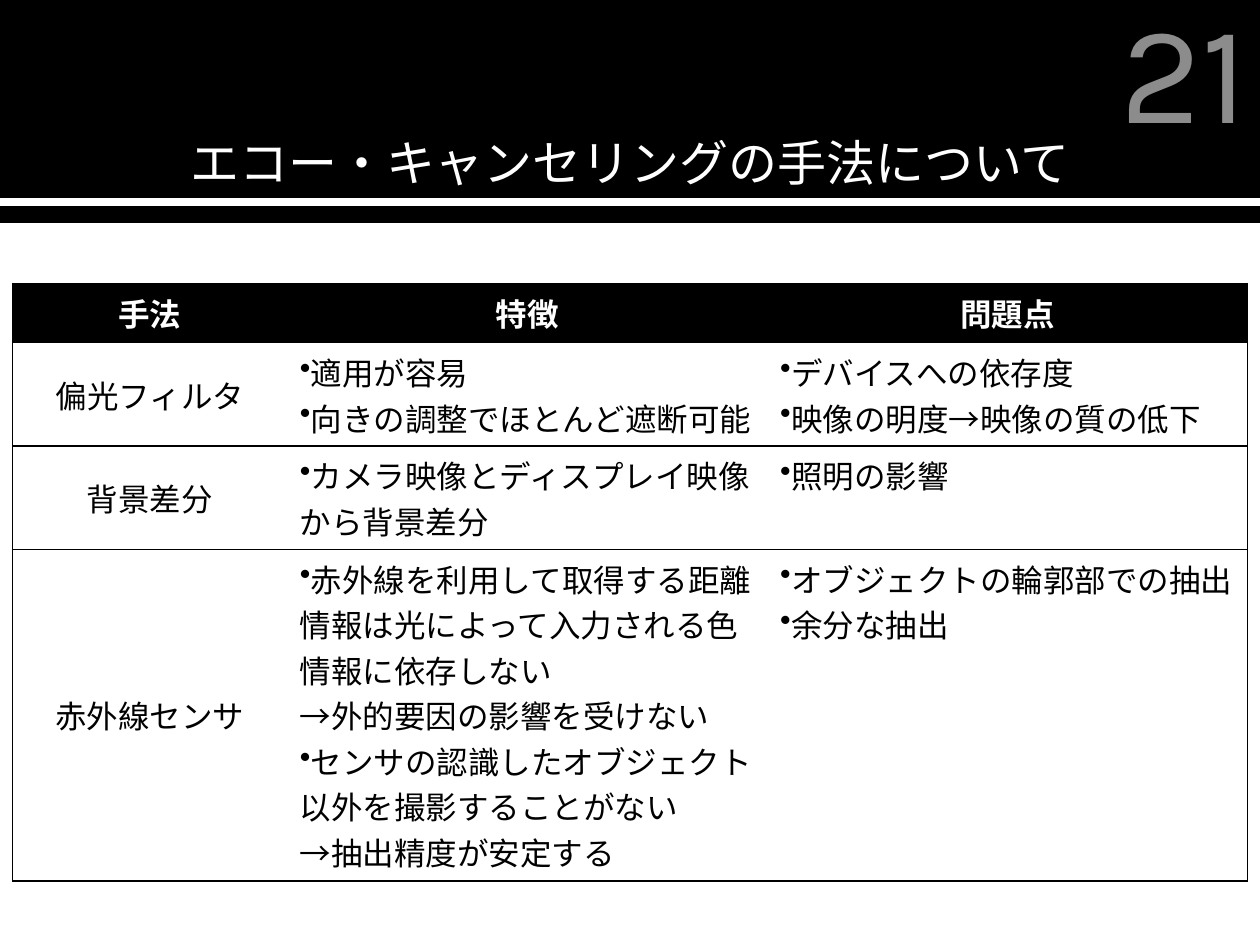
from pptx import Presentation
from pptx.dml.color import RGBColor
from pptx.enum import shapes, text
from pptx.oxml import ns, xmlchemy
from pptx.util import Cm, Pt

BLACK, WHITE, GREY = "000000", "FFFFFF", "8C8C8C"
KARLA, NOTO = "Karla", "Noto Sans CJK JP"
MID = text.MSO_ANCHOR.MIDDLE
LEFT, MIDST, RIGHT = text.PP_ALIGN.LEFT, text.PP_ALIGN.CENTER, text.PP_ALIGN.RIGHT

HEADS = ["手法", "特徴", "問題点"]
ROWS = [
    ("偏光フィルタ",
     ["適用が容易", "向きの調整でほとんど遮断可能"],
     ["デバイスへの依存度", "映像の明度→映像の質の低下"]),
    ("背景差分",
     ["カメラ映像とディスプレイ映像から背景差分"],
     ["照明の影響"]),
    ("赤外線センサ",
     ["赤外線を利用して取得する距離情報は光によって入力される色情報に依存しない",
      "→外的要因の影響を受けない",
      "センサの認識したオブジェクト以外を撮影することがない",
      "→抽出精度が安定する"],
     ["オブジェクトの輪郭部での抽出", "余分な抽出"]),
]
COLS = [5.54, 9.68, 9.68]
HIGHS = [1.2, 2.08, 2.08, 6.69]


def tint(code):
    return RGBColor.from_string(code)


def paint(fill, code):
    fill.solid()
    fill.fore_color.rgb = tint(code)


def add_run(para, words, size, color, face=KARLA, bold=False):
    run = para.add_run()
    run.text = words
    font = run.font
    font.size, font.bold, font.name = Pt(size), bold, face
    font.color.rgb = tint(color)
    east = xmlchemy.OxmlElement("a:ea")
    east.set("typeface", NOTO)
    run._r.get_or_add_rPr().append(east)


def add_bullet(para):
    props = para._p.get_or_add_pPr()
    props.set("marL", "0")
    props.set("indent", "0")
    mark = xmlchemy.OxmlElement("a:buChar")
    mark.set("char", "•")
    props.append(mark)


def add_edge(cell, side, shown):
    line = xmlchemy.OxmlElement("a:ln" + side)
    line.set("w", str(Pt(0.75)))
    kind = xmlchemy.OxmlElement("a:solidFill" if shown else "a:noFill")
    if shown:
        color = xmlchemy.OxmlElement("a:srgbClr")
        color.set("val", BLACK)
        kind.append(color)
    line.append(kind)
    cell._tc.get_or_add_tcPr().append(line)


def fill_cell(cell, col, lines, head):
    for side, shown in (("L", col == 0), ("R", col == len(COLS) - 1), ("T", True), ("B", True)):
        add_edge(cell, side, shown)
    paint(cell.fill, BLACK if head else WHITE)
    label = head or col == 0
    cell.vertical_anchor = MID if label else text.MSO_ANCHOR.TOP
    frame = cell.text_frame
    for num, words in enumerate(lines):
        para = frame.add_paragraph() if num else frame.paragraphs[0]
        if not label and not words.startswith("→"):
            add_bullet(para)
        para.alignment = MIDST if label else LEFT
        add_run(para, words, 18, WHITE if head else BLACK, KARLA if label else NOTO, head)


def add_grid(slide):
    grid = slide.shapes.add_table(len(HIGHS), len(COLS), Cm(0.25), Cm(5.71),
                                  Cm(sum(COLS)), Cm(sum(HIGHS))).table
    grid.first_row = True
    grid.horz_banding = False
    for col, wide in enumerate(COLS):
        grid.columns[col].width = Cm(wide)
        fill_cell(grid.cell(0, col), col, [HEADS[col]], True)
    for row, high in enumerate(HIGHS):
        grid.rows[row].height = Cm(high)
    for row, (name, traits, faults) in enumerate(ROWS, 1):
        for col, lines in enumerate(([name], traits, faults)):
            fill_cell(grid.cell(row, col), col, lines, False)


def set_title(slide, words):
    title = slide.shapes.title
    title.left, title.top, title.width, title.height = Cm(0), Cm(0), Cm(25.4), Cm(3.99)
    paint(title.fill, BLACK)
    frame = title.text_frame
    frame.auto_size = text.MSO_AUTO_SIZE.NONE
    frame.word_wrap = True
    frame.vertical_anchor = text.MSO_ANCHOR.BOTTOM
    frame.margin_left = frame.margin_right = Cm(3)
    frame.margin_top = frame.margin_bottom = Cm(0.13)
    para = frame.paragraphs[0]
    para.alignment = MIDST
    add_run(para, words, 28, WHITE, NOTO)


def add_rule(slide, top):
    rule = slide.shapes.add_connector(shapes.MSO_CONNECTOR.STRAIGHT,
                                      Cm(0), Cm(top), Cm(25.4), Cm(top))
    rule.line.width = Pt(10)
    rule.line.color.rgb = tint(BLACK)
    rule._element.find(ns.qn("p:spPr")).append(xmlchemy.OxmlElement("a:effectLst"))


def add_panel(slide, top, high):
    panel = slide.shapes.add_shape(shapes.MSO_SHAPE.RECTANGLE, Cm(0), Cm(top), Cm(25.4), Cm(high))
    panel.shadow.inherit = False
    paint(panel.fill, WHITE)
    panel.line.fill.background()


def add_number(slide, words):
    frame = slide.shapes.add_textbox(Cm(19.1), Cm(0), Cm(6.3), Cm(2.72)).text_frame
    frame.word_wrap = True
    frame.vertical_anchor = MID
    para = frame.paragraphs[0]
    para.alignment = RIGHT
    add_run(para, words, 80, GREY)


def main():
    deck = Presentation()
    deck.slide_width, deck.slide_height = Cm(25.4), Cm(19.05)
    slide = deck.slides.add_slide(deck.slide_layouts[5])
    paint(slide.background.fill, WHITE)
    set_title(slide, "エコー・キャンセリングの手法について")
    add_rule(slide, 4.32)
    add_panel(slide, 4.65, 14.4)
    add_number(slide, "21")
    add_grid(slide)
    deck.save("out.pptx")


if __name__ == "__main__":
    main()
